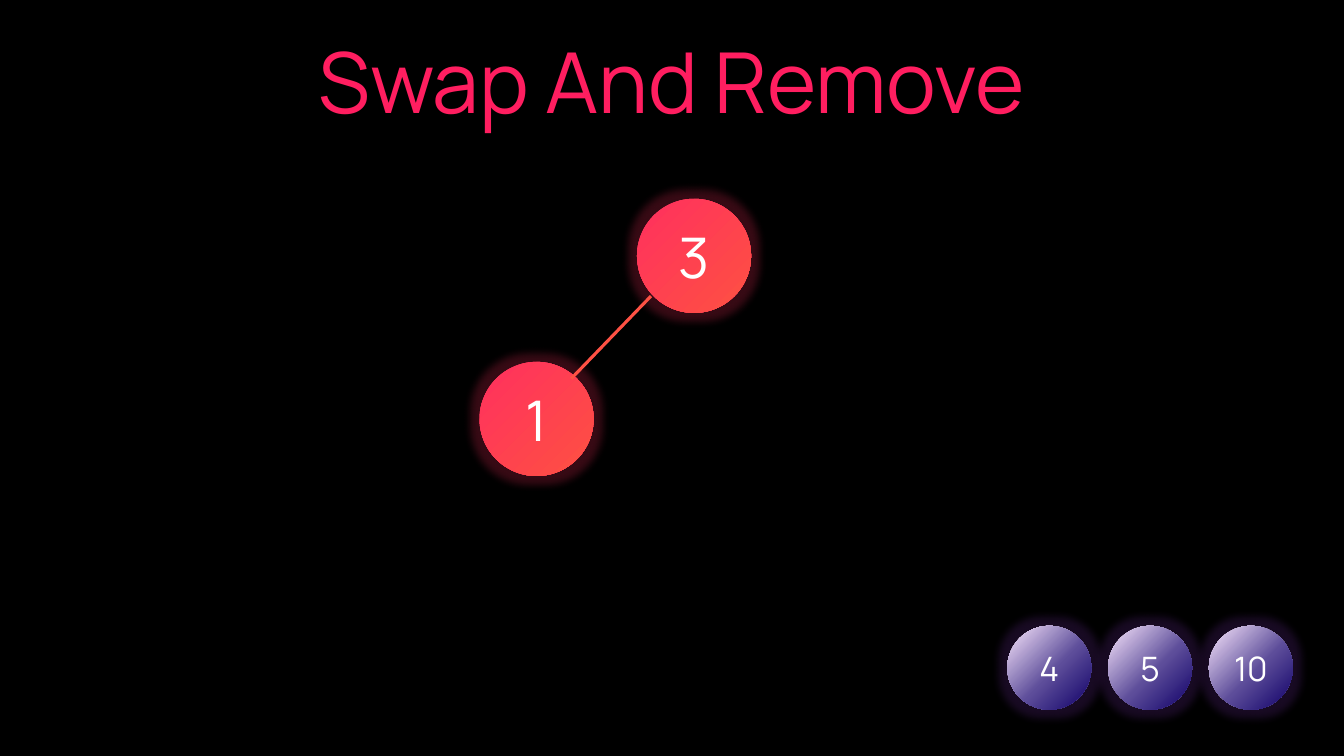
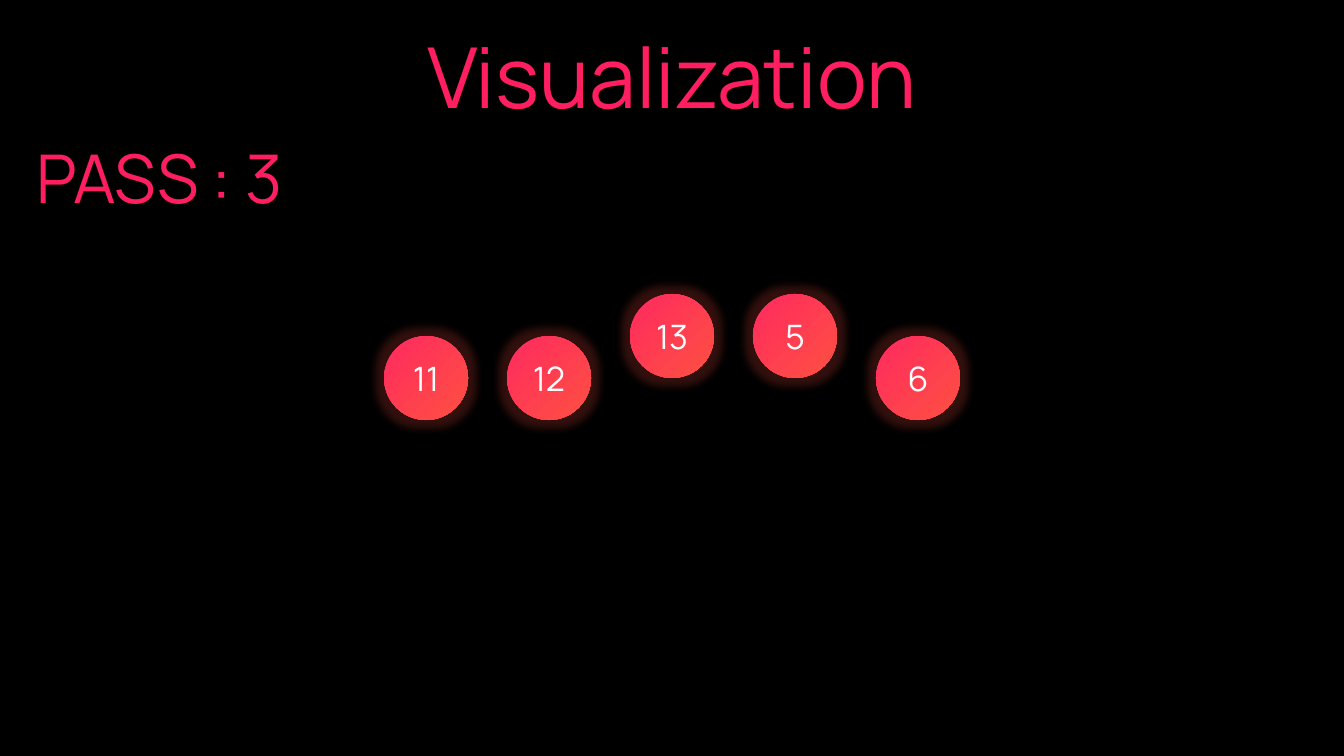
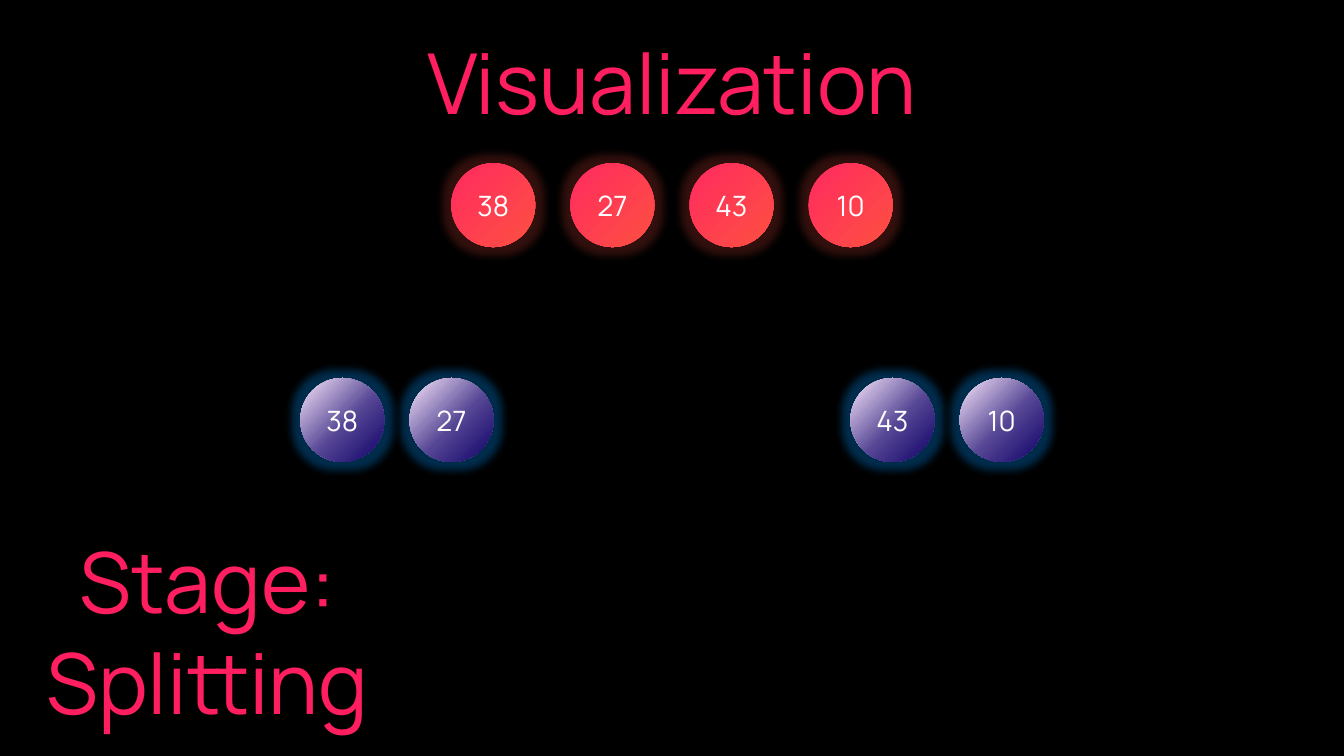
from lxml import etree
from pptx import Presentation
from pptx.dml.color import RGBColor
from pptx.enum import shapes, text
from pptx.oxml import ns
from pptx.util import Pt

WIDE, HIGH = 960, 540
FONT = "Manrope"
BALL = 60
HOT = [(0, "FF1E60"), (100, "FE5140")]
NODE = [(0, "FF305E"), (100, "FE5142")]
RED = [(0, "FF2A5F"), (100, "FE5142")]
PLUM = [(0, "FCEAFF"), (55, "5D4D9A"), (100, "0F0068")]
INK = [(0, "FCEAFF"), (55, "554594"), (100, "0F0068")]


def hue(code):
    return RGBColor.from_string(code)


def sub(top, tag, **attrs):
    node = etree.SubElement(top, ns.qn("a:" + tag))
    for key, val in attrs.items():
        node.set(key, str(val))
    return node


def blend(fill, top, stops, round_=False):
    """Fill with a gradient: diagonal, or round from the lower left corner."""
    fill.gradient()
    grad = top.find(ns.qn("a:gradFill"))
    for kid in list(grad):
        grad.remove(kid)
    row = sub(grad, "gsLst")
    for spot, code in stops:
        sub(sub(row, "gs", pos=spot * 1000), "srgbClr", val=code)
    if round_:
        way = sub(grad, "path", path="circle")
        sub(way, "fillToRect", t=100000, r=100000)
    else:
        sub(grad, "lin", ang=45 * 60000, scaled=0)


class Deck:
    def __init__(self):
        self.prs = Presentation()
        self.prs.slide_width, self.prs.slide_height = Pt(WIDE), Pt(HIGH)
        self.slide = None

    def page(self, title, top, wide):
        self.slide = self.prs.slides.add_slide(self.prs.slide_layouts[6])
        back = self.slide.background.fill
        back.solid()
        back.fore_color.rgb = hue("000000")
        self.label([title], (WIDE - wide) / 2, top, wide, 80)

    def label(self, lines, x, y, w, h, size=60):
        box = self.slide.shapes.add_textbox(Pt(x), Pt(y), Pt(w), Pt(h))
        frame = box.text_frame
        frame.word_wrap = False
        frame.auto_size = text.MSO_AUTO_SIZE.SHAPE_TO_FIT_TEXT
        para = frame.paragraphs[0]
        para.alignment = text.PP_ALIGN.CENTER
        for i, line in enumerate(lines):
            if i:
                para.add_line_break()
            run = para.add_run()
            run.text = line
            run.font.size, run.font.name = Pt(size), FONT
            blend(run.font.fill, run.font._element, HOT, True)

    def ball(self, word, x, y, stops, glow, size=24, wide=BALL):
        """Add a glowing disc; glow is a colour and its opacity in percent."""
        disc = self.slide.shapes.add_shape(
            shapes.MSO_SHAPE.OVAL, Pt(x), Pt(y), Pt(wide), Pt(wide))
        disc.line.fill.background()
        props = disc._element.spPr
        blend(disc.fill, props, stops)
        code, part = glow
        halo = sub(sub(props, "effectLst"), "glow", rad=Pt(12))
        sub(sub(halo, "srgbClr", val=code), "alpha", val=part * 1000)
        frame = disc.text_frame
        frame.vertical_anchor = text.MSO_ANCHOR.MIDDLE
        frame.word_wrap = True
        para = frame.paragraphs[0]
        para.alignment = text.PP_ALIGN.CENTER
        run = para.add_run()
        run.text = word
        run.font.size, run.font.name = Pt(size), FONT
        run.font.color.rgb = hue("FFFFFF")

    def row(self, words, x, y, step, *style):
        for i, word in enumerate(words):
            self.ball(word, x + i * step, y, *style)

    def edge(self, x1, y1, x2, y2):
        line = self.slide.shapes.add_connector(
            shapes.MSO_CONNECTOR.STRAIGHT, Pt(x1), Pt(y1), Pt(x2), Pt(y2))
        line.line.color.rgb = hue("FE5144")
        line.line.width = Pt(2.25)
        sub(line._element.spPr, "effectLst")


def main():
    deck = Deck()

    deck.page("Swap And Remove", 17.3, 590)
    for word, x, y in (("3", 455, 142), ("1", 342.5, 258.5)):
        deck.ball(word, x, y, NODE, ("FF305E", 22), 40, 81.5)
    deck.edge(465, 211.5, 408, 270.5)
    deck.row(("4", "5", "10"), 719.5, 447, 72, PLUM, ("7030A0", 22))

    ember = ("FE5142", 20)
    deck.page("Visualization", 13.7, 411)
    base, lift = 240, 30
    for i, (word, up) in enumerate(
            (("11", 0), ("12", 0), ("13", 1), ("5", 1), ("6", 0))):
        deck.ball(word, 274.3 + i * 87.85, base - up * lift, RED, ember)
    deck.label(["PASS : 3"], 13, 93.5, 202, 65.5, 48)

    deck.page("Visualization", 18, 411)
    deck.row(("38", "27", "43", "10"), 322.3, 116.5, 85.1, RED, ember, 20)
    for x, pair in ((214.5, ("38", "27")), (607.5, ("43", "10"))):
        deck.row(pair, x, 270, 78, INK, ("0070C0", 40), 20)
    deck.label(["Stage:", "Splitting"], 13, 375, 270.5, 152.5)

    deck.prs.save("out.pptx")


if __name__ == "__main__":
    main()
